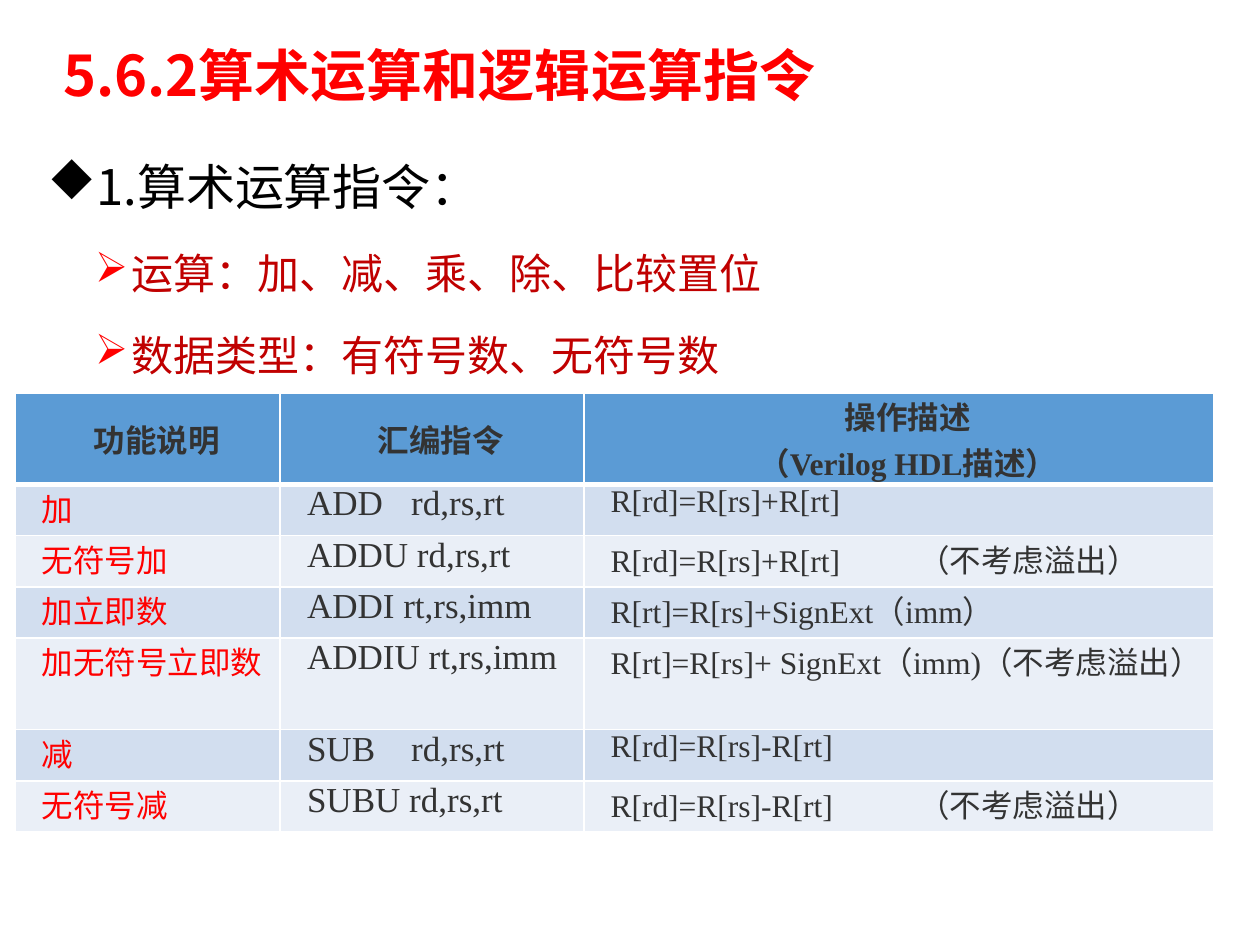
import pptx
import pptx.util
import pptx.dml.color
import pptx.enum.text
import pptx.oxml.ns
import lxml.etree

Cm = pptx.util.Cm
Pt = pptx.util.Pt
ALIGN = pptx.enum.text.PP_ALIGN
ANCHOR = pptx.enum.text.MSO_ANCHOR
SANS = "Noto Sans CJK SC"
SERIF = "Times New Roman"
COLORS = {
    "red": "FF0000", "dark_red": "C00000", "black": "000000", "text": "333333",
    "white": "FFFFFF", "header": "5B9BD5", "band": "D2DEEF", "light_band": "EAEFF7",
}


def add_child(parent, tag, **attributes):
    child = lxml.etree.SubElement(parent, pptx.oxml.ns.qn(tag))
    for name, value in attributes.items():
        child.set(name, str(value))
    return child


def write(paragraph, text, size, color, font=SANS, bold=False, align=ALIGN.JUSTIFY,
          line=1.0, before=0, left=0, indent=0, bullet=None, bullet_color=None, tab=None):
    paragraph.alignment = align
    paragraph.line_spacing = line
    paragraph.space_before = Pt(before)
    properties = paragraph._p.get_or_add_pPr()
    properties.set("marL", str(Cm(left)))
    if indent:
        properties.set("indent", str(Cm(indent)))
    if bullet:
        add_child(add_child(properties, "a:buClr"), "a:srgbClr", val=COLORS[bullet_color])
        add_child(properties, "a:buFont", typeface="Wingdings", charset=2)
        add_child(properties, "a:buChar", char=bullet)
    if tab:
        add_child(add_child(properties, "a:tabLst"), "a:tab", pos=Cm(tab), algn="l")
    run = paragraph.add_run()
    run.text = text
    run.font.size = Pt(size)
    run.font.bold = bold
    run.font.name = font
    run.font.color.rgb = pptx.dml.color.RGBColor.from_string(COLORS[color])
    add_child(run._r.get_or_add_rPr(), "a:ea", typeface=SANS)


presentation = pptx.Presentation()
presentation.slide_width = Cm(25.4)
presentation.slide_height = Cm(19.05)
slide = presentation.slides.add_slide(presentation.slide_layouts[5])

title = slide.shapes.title
title.left, title.top, title.width, title.height = Cm(1.02), Cm(0.71), Cm(21.9), Cm(1.73)
title.text_frame.vertical_anchor = ANCHOR.MIDDLE
write(title.text_frame.paragraphs[0], "5.6.2算术运算和逻辑运算指令", 32, "red",
      bold=True, align=ALIGN.LEFT, line=0.9)

outline = slide.shapes.add_textbox(Cm(0.71), Cm(2.44), Cm(21.9), Cm(6.2)).text_frame
outline.word_wrap = True
write(outline.paragraphs[0], "1.算术运算指令：", 28, "black", line=1.5, before=7.5,
      left=0.71, indent=-0.71, bullet="u", bullet_color="black")
for text in ["运算：加、减、乘、除、比较置位", "数据类型：有符号数、无符号数"]:
    paragraph = outline.add_paragraph()
    paragraph.level = 1
    write(paragraph, text, 24, "dark_red", line=1.5, before=3.8,
          left=1.7, indent=-0.74, bullet="Ø", bullet_color="red")

rows = [
    ["功能说明", "汇编指令", "操作描述\n（Verilog HDL描述）"],
    ["加", "ADD\trd,rs,rt", "R[rd]=R[rs]+R[rt]"],
    ["无符号加", "ADDU rd,rs,rt", "R[rd]=R[rs]+R[rt]\t（不考虑溢出）"],
    ["加立即数", "ADDI rt,rs,imm", "R[rt]=R[rs]+SignExt（imm）"],
    ["加无符号立即数", "ADDIU rt,rs,imm", "R[rt]=R[rs]+ SignExt（imm)（不考虑溢出）"],
    ["减", "SUB\trd,rs,rt", "R[rd]=R[rs]-R[rt]"],
    ["无符号减", "SUBU rd,rs,rt", "R[rd]=R[rs]-R[rt]\t（不考虑溢出）"],
]
columns = [
    {"width": 5.35, "size": 18, "color": "red", "tab": None},
    {"width": 6.12, "size": 20, "color": "text", "tab": 2.1},
    {"width": 12.7, "size": 18, "color": "text", "tab": 6.2},
]
single_height, double_height = 1.03, 1.85
double_rows = (0, 4)
row_heights = [double_height if index in double_rows else single_height
               for index in range(len(rows))]
table = slide.shapes.add_table(
    len(rows), len(columns), Cm(0.3), Cm(7.92),
    Cm(sum(column["width"] for column in columns)), Cm(sum(row_heights))).table
for index, column in enumerate(columns):
    table.columns[index].width = Cm(column["width"])

for row_index, row in enumerate(rows):
    table.rows[row_index].height = Cm(row_heights[row_index])
    header = row_index == 0
    fill = "header" if header else ("band" if row_index % 2 else "light_band")
    for column_index, (text, column) in enumerate(zip(row, columns)):
        cell = table.cell(row_index, column_index)
        if header:
            border = add_child(cell._tc.get_or_add_tcPr(), "a:lnB", w=Pt(3))
            add_child(add_child(border, "a:solidFill"), "a:srgbClr", val=COLORS["white"])
        cell.fill.solid()
        cell.fill.fore_color.rgb = pptx.dml.color.RGBColor.from_string(COLORS[fill])
        cell.margin_left = cell.margin_right = Cm(0.18)
        cell.margin_top = cell.margin_bottom = 0
        cell.vertical_anchor = ANCHOR.MIDDLE if header else ANCHOR.TOP
        tabbed = "\t" in text
        for line_index, line_text in enumerate(text.split("\n")):
            frame = cell.text_frame
            paragraph = frame.add_paragraph() if line_index else frame.paragraphs[0]
            write(paragraph, line_text, 18 if header else column["size"],
                  "text" if header else column["color"], font=SERIF, bold=header,
                  align=ALIGN.CENTER if header else ALIGN.JUSTIFY,
                  left=0.36 if tabbed else 0, indent=0 if tabbed else 0.36,
                  tab=column["tab"] if tabbed else None)

presentation.save("out.pptx")
